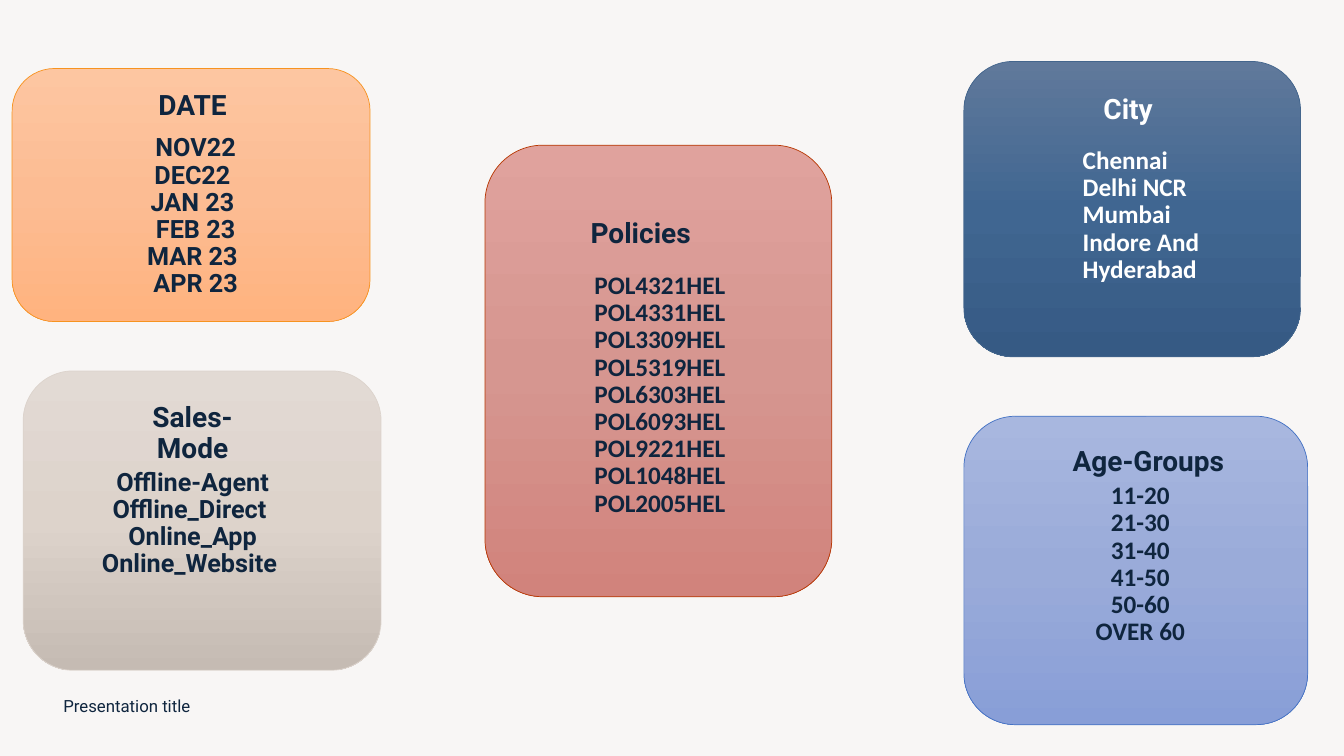
"""Build a slide of five rounded cards listing the categories of a policy data set."""
from copy import deepcopy
from pptx import Presentation
from pptx.dml.color import RGBColor
from pptx.enum.shapes import MSO_SHAPE as Shape
from pptx.enum.text import MSO_ANCHOR as Anchor, PP_ALIGN as Align
from pptx.util import Inches, Pt

NAVY, WHITE, PAPER = "0F253E", "FFFFFF", "F8F6F5"
HEAD = {"size": Pt(20), "name": "Roboto", "bold": True}
BODY = {"size": Pt(18), "name": "Roboto", "bold": True}
LIST = {"size": Pt(18), "name": "Calibri", "bold": True}
FOOT = {"size": Pt(12), "name": "Roboto", "bold": False}

CARDS = [
    {"box": (0.12, 0.68, 3.55, 2.51), "fill": ("FDC6A1", "FCBC93", "FFB37F"),
     "line": "F79320", "ink": NAVY, "head": "DATE", "head_box": (1.12, 0.81, 1.58, 0.49),
     "items": ["NOV22", "DEC22 ", "JAN 23 ", "FEB 23", "MAR 23 ", "APR 23"],
     "item_box": (0.85, 1.38, 2.18, 1.54), "font": BODY, "align": Align.CENTER},
    {"box": (0.23, 3.68, 3.55, 2.97), "fill": ("E2DAD4", "DDD3CB", "C5BBB3"),
     "line": "DCD3CC", "ink": NAVY, "head": "Sales-Mode", "head_box": (1.12, 4.06, 1.58, 0.49),
     "items": ["Offline-Agent", "Offline_Direct ", "Online_App", "Online_Website "],
     "item_box": (0.7, 4.3, 2.42, 1.79), "font": BODY, "align": Align.CENTER},
    {"box": (4.81, 1.44, 3.44, 4.48), "fill": ("E0A29D", "D69690", "D1837C"),
     "line": "B83803", "ink": NAVY, "head": "Policies", "head_box": (5.45, 2.08, 1.81, 0.49),
     "items": ["POL4321HEL", "POL4331HEL", "POL3309HEL", "POL5319HEL", "POL6303HEL",
               "POL6093HEL", "POL9221HEL", "POL1048HEL", "POL2005HEL"],
     "item_box": (5.49, 2.41, 2.11, 3.02), "font": LIST, "align": Align.CENTER},
    {"box": (9.56, 0.61, 3.34, 2.93), "fill": ("60799B", "406691", "365A84"),
     "line": "44668D", "ink": WHITE, "head": "City", "head_box": (10.26, 0.85, 1.86, 0.49),
     "items": ["Chennai", "Delhi NCR", "Mumbai", "Indore And", "Hyderabad"],
     "item_box": (10.64, 1.31, 1.86, 1.66), "font": LIST, "align": Align.LEFT},
    {"box": (9.56, 4.13, 3.41, 3.06), "fill": ("A8B7DF", "9AABD9", "889ED7"),
     "line": "4472C4", "ink": NAVY, "head": "Age-Groups", "head_box": (10.46, 4.34, 1.86, 0.49),
     "items": ["11-20", "21-30", "31-40", "41-50", "50-60", "OVER 60"],
     "item_box": (10.38, 4.83, 1.86, 1.54), "font": LIST, "align": Align.CENTER},
]


def paint(color, value):
    color.rgb = RGBColor.from_string(value)


def add_text(slide, box, lines, font, ink, align, space=0.9):
    frame = slide.shapes.add_textbox(*map(Inches, box)).text_frame
    frame.word_wrap = True
    frame.vertical_anchor = Anchor.MIDDLE
    frame.text = "\n".join(lines)
    for para in frame.paragraphs:
        para.alignment = align
        para.line_spacing = space
        for run in para.runs:
            for key, value in font.items():
                setattr(run.font, key, value)
            paint(run.font.color, ink)


def add_card(slide, card):
    shape = slide.shapes.add_shape(Shape.ROUNDED_RECTANGLE, *map(Inches, card["box"]))
    shape.shadow.inherit = False
    shape.fill.gradient()
    shape.fill.gradient_angle = 270
    first = shape._element.xpath(".//a:gs")[0]
    first.addnext(deepcopy(first))
    for stop, place, value in zip(shape.fill.gradient_stops, (0, 0.5, 1), card["fill"]):
        stop.position = place
        paint(stop.color, value)
    paint(shape.line.color, card["line"])
    shape.line.width = Pt(0.5)
    add_text(slide, card["head_box"], [card["head"]], HEAD, card["ink"], Align.CENTER)
    add_text(slide, card["item_box"], card["items"], card["font"], card["ink"], card["align"])


def main():
    deck = Presentation()
    deck.slide_width, deck.slide_height = Inches(13.33), Inches(7.5)
    slide = deck.slides.add_slide(deck.slide_layouts[6])
    slide.background.fill.solid()
    paint(slide.background.fill.fore_color, PAPER)
    for card in CARDS:
        add_card(slide, card)
    add_text(slide, (0.53, 6.8, 4.5, 0.4), ["Presentation title"], FOOT, NAVY, Align.LEFT, 1)
    deck.save("out.pptx")


if __name__ == "__main__":
    main()
